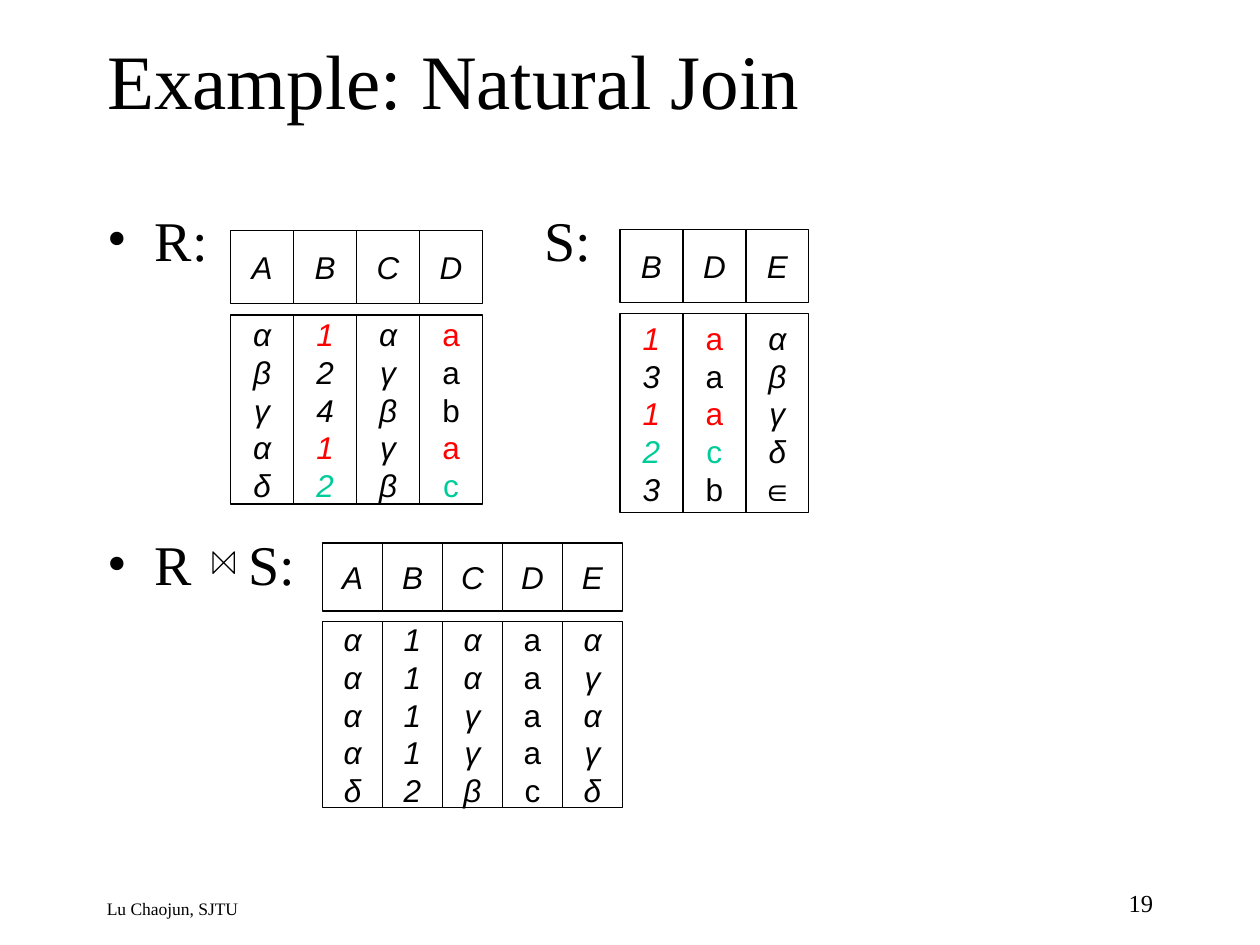
from lxml.etree import SubElement
from pptx import Presentation
from pptx.dml.color import RGBColor
from pptx.enum.shapes import MSO_SHAPE
from pptx.enum.text import MSO_ANCHOR, MSO_AUTO_SIZE, PP_ALIGN
from pptx.oxml.ns import qn
from pptx.util import Inches, Pt

COLORS = {"ink": "000000", "paper": "FFFFFF", "red": "FF0000", "green": "00CC99"}
SERIF = "Times New Roman"
SANS = "Arial"
JOIN_COLUMNS = ("B", "D")


def rgb(name):
    return RGBColor.from_string(COLORS[name])


def place(shape, box):
    shape.left, shape.top, shape.width, shape.height = (Inches(length) for length in box)


def add_run(paragraph, text, size, font_name, color="ink", italic=False):
    run = paragraph.add_run()
    run.text = text
    run.font.size = Pt(size)
    run.font.name = font_name
    run.font.italic = italic
    run.font.color.rgb = rgb(color)


def add_title(slide, box, text):
    title = slide.shapes.title
    place(title, box)
    frame = title.text_frame
    frame.auto_size = MSO_AUTO_SIZE.NONE
    frame.vertical_anchor = MSO_ANCHOR.MIDDLE
    paragraph = frame.paragraphs[0]
    paragraph.alignment = PP_ALIGN.LEFT
    add_run(paragraph, text, 44, SERIF)


def format_bullet(paragraph, tab):
    properties = paragraph._p.get_or_add_pPr()
    properties.set("marL", str(Inches(0.38)))
    properties.set("indent", str(Inches(-0.38)))
    SubElement(properties, qn("a:buFont"), typeface=SERIF)
    SubElement(properties, qn("a:buChar"), char="•")
    tabs = SubElement(properties, qn("a:tabLst"))
    SubElement(tabs, qn("a:tab"), pos=str(Inches(tab)), algn="l")


def add_labels(slide, box, labels):
    body = slide.placeholders[1]
    place(body, box)
    frame = body.text_frame
    frame.auto_size = MSO_AUTO_SIZE.NONE
    for index, (text, tab, space_before) in enumerate(labels):
        paragraph = frame.add_paragraph() if index else frame.paragraphs[0]
        format_bullet(paragraph, tab)
        paragraph.space_before = Pt(space_before)
        add_run(paragraph, text, 32, SERIF)


def add_outline(slide, kind, box):
    shape = slide.shapes.add_shape(kind, *(Inches(length) for length in box))
    shape.shadow.inherit = False
    shape.line.color.rgb = rgb("ink")
    shape.line.width = Pt(0.75)
    return shape


def add_join_symbol(slide, box):
    symbol = add_outline(slide, MSO_SHAPE.FLOWCHART_COLLATE, box)
    symbol.fill.background()
    symbol.rotation = 270


def add_cell(slide, box, entries):
    cell = add_outline(slide, MSO_SHAPE.RECTANGLE, box)
    cell.fill.solid()
    cell.fill.fore_color.rgb = rgb("paper")
    frame = cell.text_frame
    frame.word_wrap = False
    frame.vertical_anchor = MSO_ANCHOR.MIDDLE
    for index, (text, color, italic) in enumerate(entries):
        paragraph = frame.add_paragraph() if index else frame.paragraphs[0]
        paragraph.alignment = PP_ALIGN.CENTER
        add_run(paragraph, text, 18, SANS, color, italic)


def add_relation(slide, box, header_height, gap, columns, row_colors):
    left, top, width, height = box
    column_width = width / len(columns)
    body_offset = header_height + gap
    for index, (name, values) in enumerate(columns.items()):
        x = left + index * column_width
        add_cell(slide, (x, top, column_width, header_height), [(name, "ink", True)])
        colors = row_colors if name in JOIN_COLUMNS else {}
        entries = [
            (value, colors.get(row, "ink"), name != "D")
            for row, value in enumerate(values)
        ]
        add_cell(slide, (x, top + body_offset, column_width, height - body_offset), entries)


def add_footer(slide, box, text, size, alignment):
    footer = slide.shapes.add_textbox(*(Inches(length) for length in box))
    footer.text_frame.word_wrap = True
    paragraph = footer.text_frame.paragraphs[0]
    paragraph.alignment = alignment
    add_run(paragraph, text, size, SERIF)


def main():
    presentation = Presentation()
    presentation.slide_width = Inches(10)
    presentation.slide_height = Inches(7.5)
    slide = presentation.slides.add_slide(presentation.slide_layouts[1])

    add_footer(slide, (0.75, 7.08, 5.8, 0.25), "Lu Chaojun, SJTU", 10, PP_ALIGN.LEFT)
    add_footer(slide, (7.17, 7, 2.08, 0.33), "19", 14, PP_ALIGN.RIGHT)
    add_title(slide, (0.75, 0, 8.5, 1.25), "Example: Natural Join")
    add_labels(
        slide, (0.75, 1.58, 8.5, 5.08), [("R:\tS:", 3.47, 0), ("R\tS:", 1.12, 147)]
    )
    add_join_symbol(slide, (1.69, 4.38, 0.17, 0.17))
    add_relation(
        slide, (1.83, 1.83, 2, 2.17), 0.58, 0.09,
        {"A": "αβγαδ", "B": "12412", "C": "αγβγβ", "D": "aabac"},
        {0: "red", 3: "red", 4: "green"},
    )
    add_relation(
        slide, (4.92, 1.82, 1.5, 2.25), 0.58, 0.09,
        {"B": "13123", "D": "aaacb", "E": "αβγδ∈"},
        {0: "red", 2: "red", 3: "green"},
    )
    add_relation(
        slide, (2.56, 4.31, 2.38, 2.1), 0.54, 0.08,
        {"A": "ααααδ", "B": "11112", "C": "ααγγβ", "D": "aaaac", "E": "αγαγδ"},
        {},
    )
    presentation.save("out.pptx")


if __name__ == "__main__":
    main()
